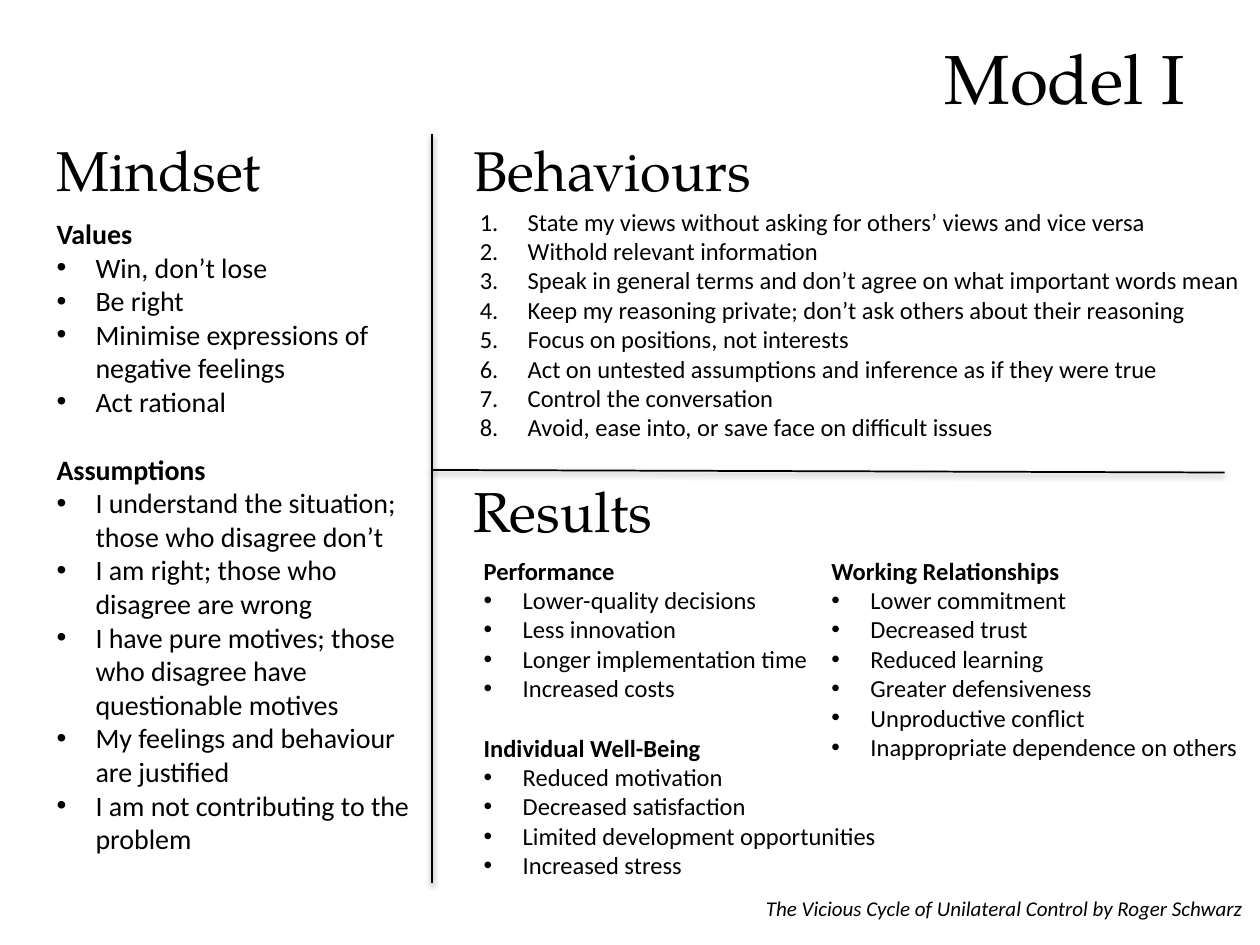
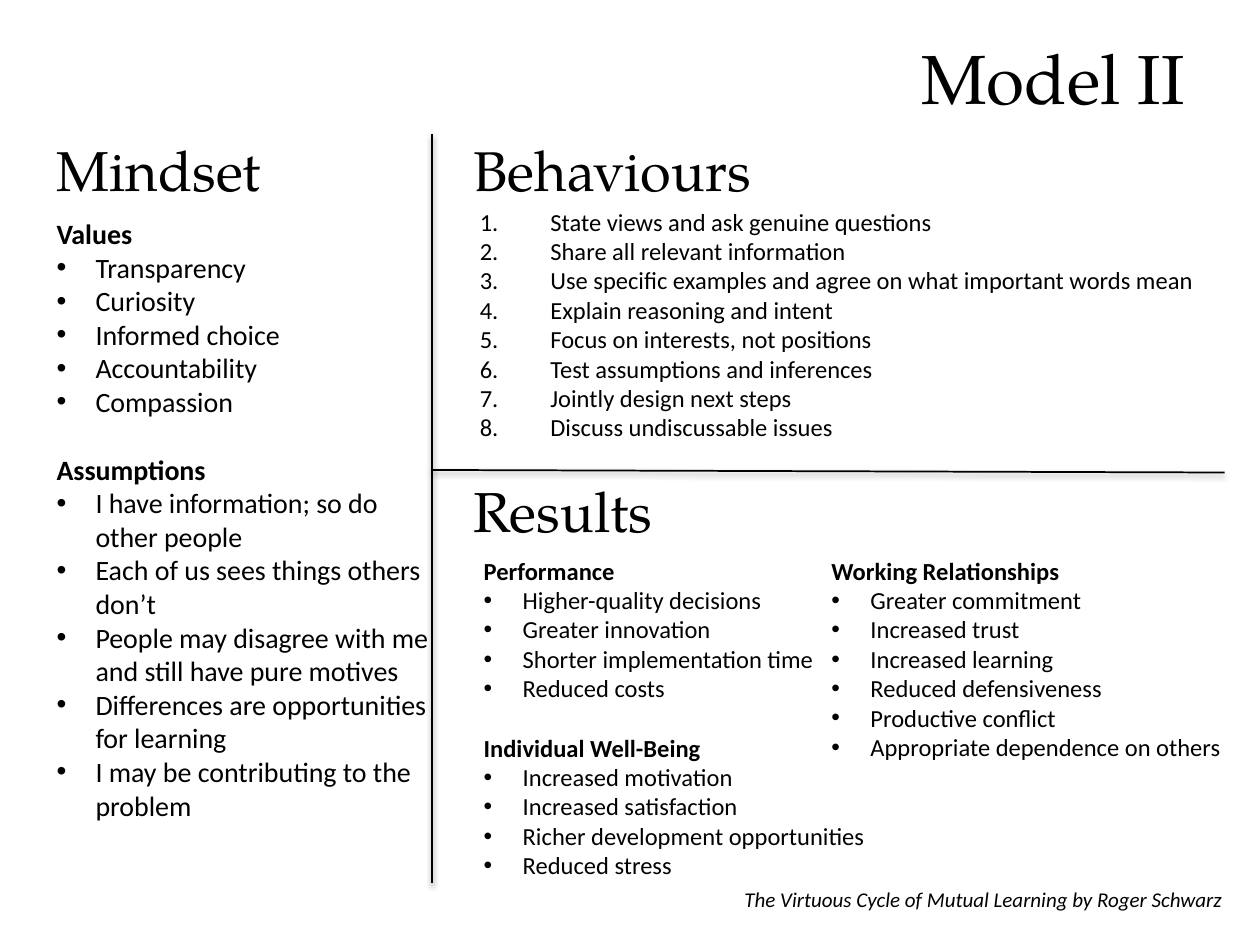
from lxml import etree
from pptx import Presentation
from pptx.dml.color import RGBColor
from pptx.enum.shapes import MSO_CONNECTOR
from pptx.enum.text import MSO_ANCHOR, MSO_AUTO_SIZE, PP_ALIGN
from pptx.oxml import parse_xml
from pptx.oxml.ns import nsdecls, qn
from pptx.util import Inches, Pt

COLORS = {"ink": "000000", "paper": "FFFFFF"}
INK = RGBColor.from_string(COLORS["ink"])
DISPLAY_FONT, BODY_FONT = "TeX Gyre Pagella", "Calibri"
LEFT, RIGHT, JUSTIFY = PP_ALIGN.LEFT, PP_ALIGN.RIGHT, PP_ALIGN.JUSTIFY
LINE_HEIGHT = 1.22

SECTION_HEADINGS = {"Mindset": (0.35, 1.03), "Behaviours": (3.66, 1.03), "Results": (3.66, 3.73)}
DIVIDERS = [(3.43, 1.06, 3.43, 7.01), (9.72, 3.75, 3.43, 3.73)]
SHADOW = (
    f'<a:effectLst {nsdecls("a")}><a:outerShdw blurRad="{Pt(3.1)}" dist="{Pt(1.6)}" dir="5400000" '
    f'rotWithShape="0"><a:srgbClr val="{COLORS["ink"]}"><a:alpha val="38000"/></a:srgbClr>'
    "</a:outerShdw></a:effectLst>"
)

MODELS = [
    {
        "title": "Model I",
        "mindset": {
            "Values": [
                "Win, don’t lose",
                "Be right",
                "Minimise expressions of negative feelings",
                "Act rational",
            ],
            "Assumptions": [
                "I understand the situation; those who disagree don’t",
                "I am right; those who disagree are wrong",
                "I have pure motives; those who disagree have questionable motives",
                "My feelings and behaviour are justified",
                "I am not contributing to the problem",
            ],
        },
        "behaviours": [
            "State my views without asking for others’ views and vice versa",
            "Withold relevant information",
            "Speak in general terms and don’t agree on what important words mean",
            "Keep my reasoning private; don’t ask others about their reasoning",
            "Focus on positions, not interests",
            "Act on untested assumptions and inference as if they were true",
            "Control the conversation",
            "Avoid, ease into, or save face on difficult issues",
        ],
        "number_indent": 0.38,
        "behaviours_height": 1.99,
        "results": {
            "Performance": [
                "Lower-quality decisions",
                "Less innovation",
                "Longer implementation time",
                "Increased costs",
            ],
            "Individual Well-Being": [
                "Reduced motivation",
                "Decreased satisfaction",
                "Limited development opportunities",
                "Increased stress",
            ],
        },
        "relationships": {
            "Working Relationships": [
                "Lower commitment",
                "Decreased trust",
                "Reduced learning",
                "Greater defensiveness",
                "Unproductive conflict",
                "Inappropriate dependence on others",
            ],
        },
        "credit": "The Vicious Cycle of Unilateral Control by Roger Schwarz",
        "credit_at": (4.45, 7.06),
    },
    {
        "title": "Model II",
        "mindset": {
            "Values": [
                "Transparency",
                "Curiosity",
                "Informed choice",
                "Accountability",
                "Compassion",
            ],
            "Assumptions": [
                "I have information; so do other people",
                "Each of us sees things others don’t",
                "People may disagree with me and still have pure motives",
                "Differences are opportunities for learning",
                "I may be contributing to the problem",
            ],
        },
        "behaviours": [
            "State views and ask genuine questions",
            "Share all relevant information",
            "Use specific examples and agree on what important words mean",
            "Explain reasoning and intent",
            "Focus on interests, not positions",
            "Test assumptions and inferences",
            "Jointly design next steps",
            "Discuss undiscussable issues",
        ],
        "number_indent": 0.56,
        "behaviours_height": 2.22,
        "results": {
            "Performance": [
                "Higher-quality decisions",
                "Greater innovation",
                "Shorter implementation time",
                "Reduced costs",
            ],
            "Individual Well-Being": [
                "Increased motivation",
                "Increased satisfaction",
                "Richer development opportunities",
                "Reduced stress",
            ],
        },
        "relationships": {
            "Working Relationships": [
                "Greater commitment",
                "Increased trust",
                "Increased learning",
                "Reduced defensiveness",
                "Productive conflict",
                "Appropriate dependence on others",
            ],
        },
        "credit": "The Virtuous Cycle of Mutual Learning by Roger Schwarz",
        "credit_at": (4.29, 6.99),
    },
]


def add_text(slide, box, lines, size, align=LEFT, font=BODY_FONT):
    """Add a wrapped text box with one paragraph per line and return its paragraphs."""
    frame = slide.shapes.add_textbox(*map(Inches, box)).text_frame
    frame.text = "\n".join(lines)
    frame.word_wrap = True
    if font == BODY_FONT:
        frame.auto_size = MSO_AUTO_SIZE.SHAPE_TO_FIT_TEXT
    for paragraph in frame.paragraphs:
        paragraph.alignment = align
        run_font = paragraph.runs[0].font
        run_font.name, run_font.size, run_font.color.rgb = font, Pt(size), INK
    return frame.paragraphs


def add_marker(paragraph, indent, tag, **attributes):
    """Give a paragraph a hanging indent and a bullet or number."""
    properties = paragraph._p.get_or_add_pPr()
    properties.set("marL", str(Inches(indent)))
    properties.set("indent", str(-Inches(indent)))
    if tag == "a:buChar":
        etree.SubElement(properties, qn("a:buFont"), typeface="Arial")
    etree.SubElement(properties, qn(tag), **attributes)


prs = Presentation()
prs.slide_width, prs.slide_height = Inches(10), Inches(7.5)

for model in MODELS:
    slide = prs.slides.add_slide(prs.slide_layouts[5])
    slide.background.fill.solid()
    slide.background.fill.fore_color.rgb = RGBColor.from_string(COLORS["paper"])

    title = slide.shapes.title
    title.left, title.top, title.width, title.height = map(Inches, (0.5, 0.28, 9, 1.25))
    heading = title.text_frame
    heading.text = model["title"]
    heading.auto_size = MSO_AUTO_SIZE.NONE
    heading.vertical_anchor = MSO_ANCHOR.TOP
    heading.margin_top = 0
    heading.paragraphs[0].alignment = RIGHT
    title_font = heading.paragraphs[0].runs[0].font
    title_font.name, title_font.size, title_font.color.rgb = DISPLAY_FONT, Pt(39.6), INK

    for section, position in SECTION_HEADINGS.items():
        add_text(slide, (*position, 3.08, 0.74), [section], 32, font=DISPLAY_FONT)

    behaviours_box = (3.71, 1.59, 6.69, model["behaviours_height"])
    for behaviour in add_text(slide, behaviours_box, model["behaviours"], 14, JUSTIFY):
        add_marker(behaviour, model["number_indent"], "a:buAutoNum", type="arabicPeriod")

    for groups, box, size, align in [
        (model["mindset"], (0.35, 1.67, 3.15, 5.22), 16, LEFT),
        (model["results"], (3.74, 4.36, 4.25, 2.69), 14, JUSTIFY),
        (model["relationships"], (6.5, 4.36, 3.62, 1.99), 14, JUSTIFY),
    ]:
        lines = [line for name, items in groups.items() for line in (name, *items)]
        for index, paragraph in enumerate(add_text(slide, box, lines, size, align)):
            if paragraph.text not in groups:
                add_marker(paragraph, 0.31, "a:buChar", char="•")
                continue
            paragraph.runs[0].font.bold = True
            if index:
                paragraph.space_before = Pt(round(size * LINE_HEIGHT, 1))

    for ends in DIVIDERS:
        divider = slide.shapes.add_connector(MSO_CONNECTOR.STRAIGHT, *map(Inches, ends))
        divider.line.color.rgb = INK
        divider.line.width = Pt(1)
        divider._element.spPr.append(parse_xml(SHADOW))

    credit = add_text(slide, (*model["credit_at"], 5.51, 0.3), [model["credit"]], 12, RIGHT)
    credit[0].runs[0].font.italic = True

prs.save("out.pptx")
